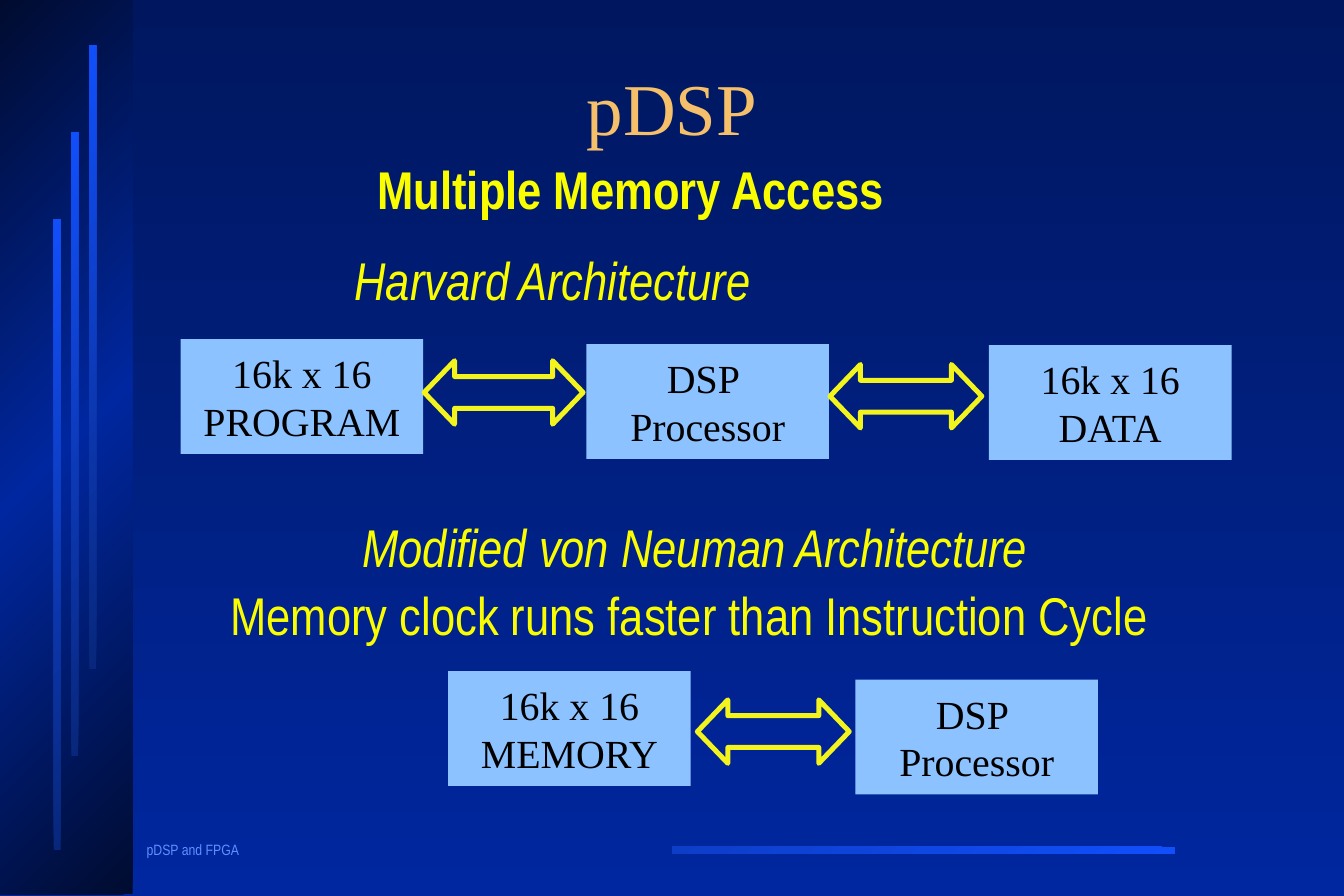
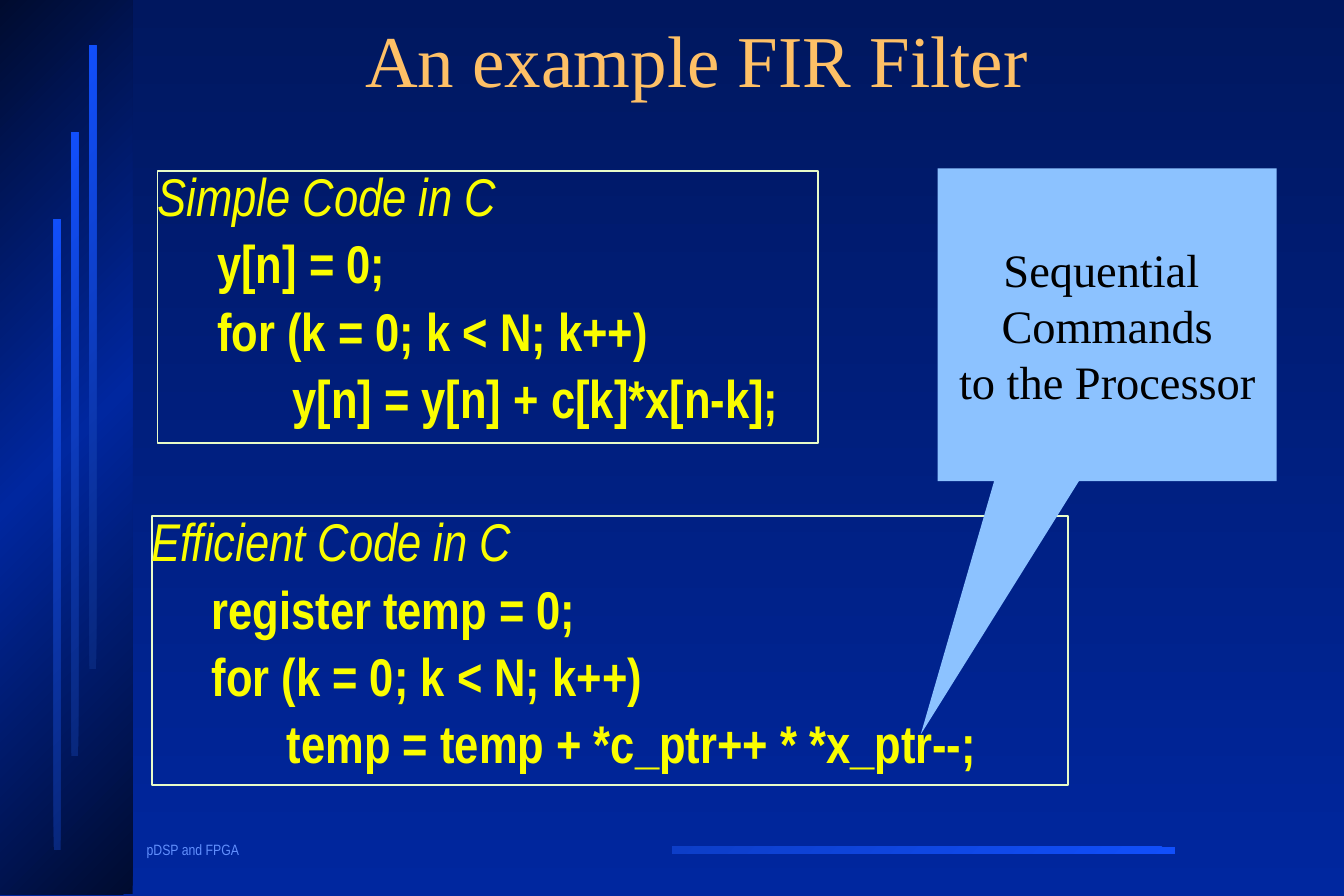
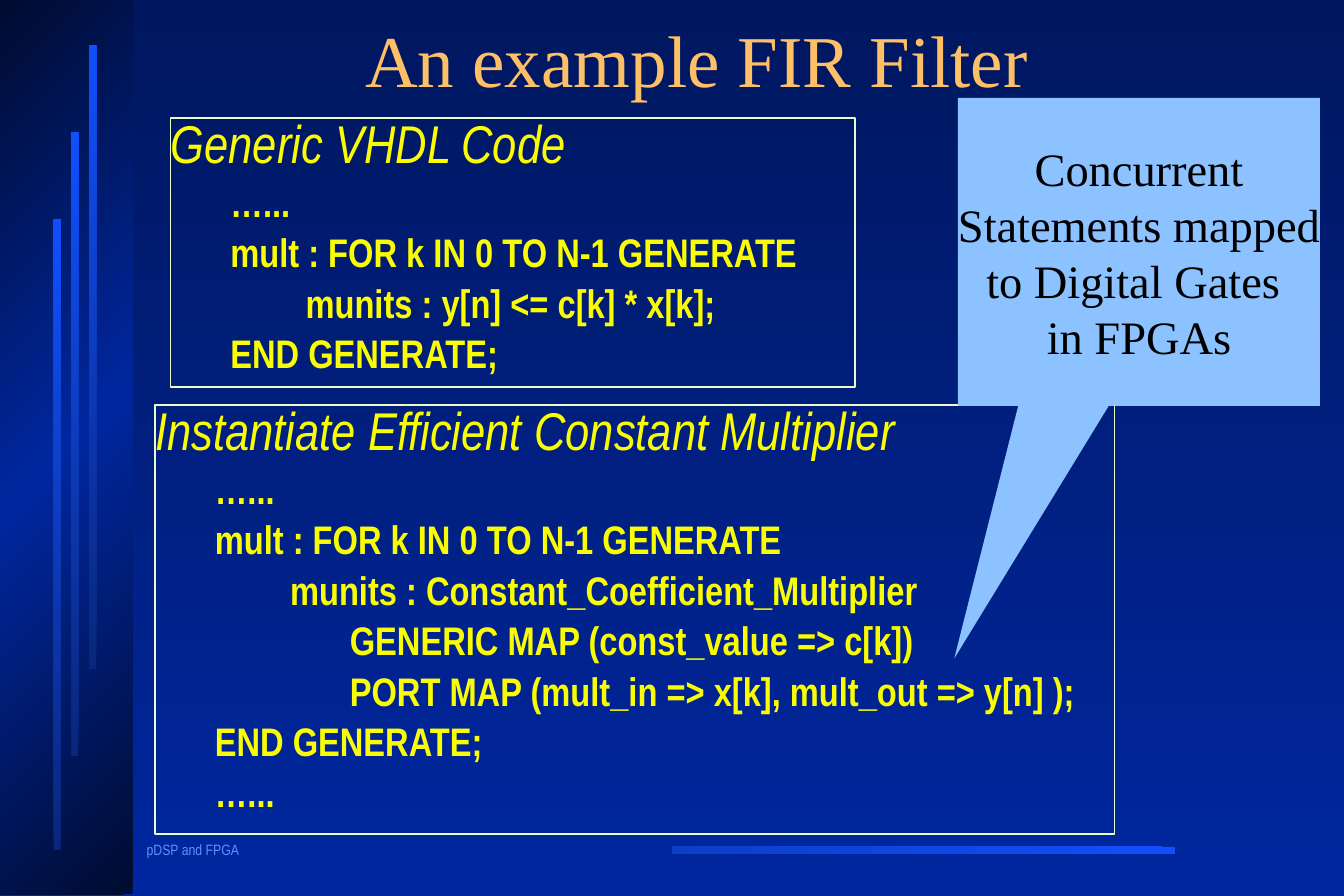
"""Build three slides on DSP memory access and FIR filter code."""
from lxml import etree
from pptx import Presentation
from pptx.dml.color import RGBColor
from pptx.enum.shapes import MSO_SHAPE
from pptx.enum.text import MSO_ANCHOR, MSO_AUTO_SIZE, PP_ALIGN
from pptx.oxml.ns import qn
from pptx.util import Cm, Pt

RECTANGLE = MSO_SHAPE.RECTANGLE
ARROW = MSO_SHAPE.LEFT_RIGHT_ARROW
CALLOUT = MSO_SHAPE.RECTANGULAR_CALLOUT
CENTER, LEFT = PP_ALIGN.CENTER, PP_ALIGN.LEFT
MIDDLE, TOP = MSO_ANCHOR.MIDDLE, MSO_ANCHOR.TOP
NO_AUTOFIT = MSO_AUTO_SIZE.NONE

TITLE_ONLY = 5
SANS, SERIF = "Arial Narrow", "Times New Roman"
COLORS = {
    "night": "00175F", "royal": "00279F", "abyss": "000B2F",
    "bar_dark": "08277C", "bar_light": "114FFB", "rule_dark": "0D3EC8",
    "footer": "618FFD", "gold": "F6BF69", "orange": "FEC066",
    "yellow": "FAFD00", "arrow": "F3F31D", "frame": "E9FCC8",
    "block": "8CC2FF", "black": "000000",
}
MARGIN = (0.25, 0.13)
LEVEL_INDENTS = (0, 1.27, 2.87, 4.14)
BLOCK_SIZE = (5.16, 2.44)
ARROW_HEIGHT = 1.35
FILTER_TITLE_BOX = (3.71, 0, 22.61, 2.77)


def rgb(name):
    """Return the named colour."""
    return RGBColor.from_string(COLORS[name])


def lengths(box):
    """Turn centimetre numbers into lengths."""
    return [Cm(value) for value in box]


def set_gradient(fill, element, names, angle):
    """Give the fill inside the element evenly spaced gradient stops."""
    fill.gradient()
    gradient = element.xpath(".//a:gradFill")[0]
    stops = gradient.find(qn("a:gsLst"))
    for stop in list(stops):
        stops.remove(stop)
    for index, name in enumerate(names):
        position = 100000 * index // (len(names) - 1)
        stop = etree.SubElement(stops, qn("a:gs"), pos=str(position))
        etree.SubElement(stop, qn("a:srgbClr"), val=COLORS[name])
    direction = gradient.find(qn("a:lin"))
    direction.set("ang", str(angle * 60000))
    direction.set("scaled", "0")


def add_shape(slide, kind, box, fill=None, line=None, adjustments=()):
    """Add a preset shape, plain unless a fill or line is named."""
    shape = slide.shapes.add_shape(kind, *lengths(box))
    shape.shadow.inherit = False
    for index, value in enumerate(adjustments):
        shape.adjustments[index] = value
    if fill:
        shape.fill.solid()
        shape.fill.fore_color.rgb = rgb(fill)
    else:
        shape.fill.background()
    if line:
        shape.line.color.rgb = rgb(line)
        shape.line.width = Pt(3)
    else:
        shape.line.fill.background()
    return shape


def set_frame(shape, margin=(0, 0), anchor=TOP, wrap=True):
    """Set the margins, anchor and wrapping of a text frame."""
    frame = shape.text_frame
    frame.auto_size = NO_AUTOFIT
    frame.word_wrap = wrap
    frame.vertical_anchor = anchor
    frame.margin_left = frame.margin_right = Cm(margin[0])
    frame.margin_top = frame.margin_bottom = Cm(margin[1])


def add_text_box(slide, box, margin=MARGIN):
    """Add an empty wrapping text box."""
    shape = slide.shapes.add_textbox(*lengths(box))
    set_frame(shape, margin)
    return shape


def write(shape, text, size=32, font=SANS, color="yellow", bold=False, italic=False,
          align=LEFT, spacing=0.9, before=0, indent=0):
    """Write one formatted paragraph at the end of the shape's text."""
    frame = shape.text_frame
    paragraph = frame.add_paragraph() if frame.text else frame.paragraphs[0]
    paragraph.alignment = align
    paragraph.line_spacing = spacing
    paragraph.space_before = Pt(before)
    properties = shape.element.xpath(".//a:p")[-1].get_or_add_pPr()
    properties.set("marL", str(Cm(indent)))
    properties.set("indent", "0")
    run = paragraph.add_run()
    run.text = text
    run.font.size = Pt(size)
    run.font.name = font
    run.font.bold = bold
    run.font.italic = italic
    run.font.color.rgb = rgb(color)


def write_centered(shape, texts, size):
    """Write black serif lines in the middle of a shape."""
    set_frame(shape, anchor=MIDDLE, wrap=False)
    for text in texts:
        write(shape, text, size=size, font=SERIF, color="black", align=CENTER, spacing=1)


def add_gradient_bar(slide, box, names):
    """Add a borderless rectangle with a diagonal gradient."""
    shape = add_shape(slide, RECTANGLE, box)
    set_gradient(shape.fill, shape.element, names, 225)
    return shape


def decorate_master(master, slide):
    """Draw the shared background, side band, rule and footer on the master."""
    set_gradient(master.background.fill, master.element, ("night", "royal"), 90)
    footer = add_text_box(slide, (2.87, 17.78, 3.81, 0.58))
    write(footer, "pDSP and FPGA", size=9, color="footer")
    parts = [
        footer,
        add_gradient_bar(slide, (14.3, 18, 10.69, 0.15), ("bar_light", "rule_dark")),
        add_gradient_bar(slide, (0, 0, 2.82, 19.02), ("abyss", "royal", "abyss")),
    ]
    for index, height in enumerate((13.41, 13.26, 13.26)):
        box = (1.14 + 0.38 * index, 4.67 - 1.85 * index, 0.15, height)
        parts.append(add_gradient_bar(slide, box, ("bar_dark", "bar_light")))
    for number, part in enumerate(parts, start=20):
        part.element.xpath("./p:nvSpPr/p:cNvPr")[0].set("id", str(number))
        master.shapes.element.append(part.element)


def add_titled_slide(presentation, title, box, color):
    """Add a title-only slide and format its title."""
    slide = presentation.slides.add_slide(presentation.slide_layouts[TITLE_ONLY])
    shape = slide.shapes.title
    shape.left, shape.top, shape.width, shape.height = lengths(box)
    set_frame(shape, MARGIN, MIDDLE)
    write(shape, title, size=44, font=SERIF, color=color, align=CENTER, spacing=0.85)
    return slide


def add_block_row(slide, origin, blocks, arrows):
    """Draw memory and processor blocks with arrows, offset from the origin."""
    left, top = origin
    for across, down, texts in blocks:
        block = add_shape(slide, RECTANGLE, (left + across, top + down, *BLOCK_SIZE), "block")
        write_centered(block, texts, 24)
    for across, down, width in arrows:
        box = (left + across, top + down, width, ARROW_HEIGHT)
        add_shape(slide, ARROW, box, line="arrow", adjustments=(0.5, 0.48))


def add_code_panel(slide, box, heading, code, size, before):
    """Add a framed panel with an italic heading and indented code."""
    panel = add_text_box(slide, box, margin=(0, 0))
    panel.line.color.rgb = rgb("frame")
    panel.line.width = Pt(1)
    write(panel, heading, italic=True)
    for level, text in code:
        write(panel, text, size=size, bold=True, before=before, indent=LEVEL_INDENTS[level])


def add_callout(slide, box, pointer, texts):
    """Add a callout whose tip lies at the relative pointer."""
    write_centered(add_shape(slide, CALLOUT, box, "block", adjustments=pointer), texts, 28)


def fill_memory_slide(slide):
    """Compare the Harvard and modified von Neuman architectures."""
    processor = ("DSP ", "Processor")
    harvard = add_text_box(slide, (3.07, 3.35, 22.76, 3.56))
    write(harvard, "Multiple Memory Access", bold=True, indent=4.71)
    write(harvard, "Harvard Architecture", italic=True, before=20, indent=4.22)
    add_block_row(
        slide, (3.84, 7.21),
        [(0, 0, ("16k x 16", "PROGRAM")), (8.63, 0.11, processor),
         (17.19, 0.13, ("16k x 16", "DATA"))],
        [(5.18, 0.46, 3.38), (13.81, 0.54, 3.23)])
    neuman = add_text_box(slide, (3.38, 10.97, 22.81, 2.95))
    write(neuman, "Modified von Neuman Architecture", italic=True, align=CENTER)
    write(neuman, "Memory clock runs faster than Instruction Cycle", before=6,
          indent=LEVEL_INDENTS[1])
    add_block_row(
        slide, (9.53, 14.27),
        [(0, 0, ("16k x 16", "MEMORY")), (8.66, 0.18, processor)],
        [(5.3, 0.61, 3.23)])


def fill_c_slide(slide):
    """Show the filter as sequential C code."""
    loop = (1, "for (k = 0; k < N; k++)")
    add_code_panel(
        slide, (3.35, 3.63, 14.05, 5.79), "Simple Code in C",
        [(1, "y[n] = 0;"), loop, (2, "y[n] = y[n] + c[k]*x[n-k];")], 32, 6)
    add_code_panel(
        slide, (3.23, 10.97, 19.48, 5.72), "Efficient Code in C",
        [(1, "register temp = 0;"), loop, (2, "temp = temp + *c_ptr++ * *x_ptr--;")], 32, 6)
    add_callout(slide, (19.94, 3.58, 7.21, 6.65), (-0.55, 1.31),
                ("Sequential ", "Commands", "to the Processor"))


def fill_vhdl_slide(slide):
    """Show the filter as concurrent VHDL code."""
    dots, end = (1, "…..."), (1, "END GENERATE;")
    opening = [dots, (1, "mult : FOR k IN 0 TO N-1 GENERATE")]
    add_code_panel(
        slide, (3.63, 2.51, 14.55, 5.72), "Generic VHDL Code",
        [*opening, (2, "munits : y[n] <= c[k] * x[k];"), end], 24, 4.5)
    add_code_panel(
        slide, (3.3, 8.61, 20.4, 9.12), "Instantiate Efficient Constant Multiplier",
        [*opening, (2, "munits : Constant_Coefficient_Multiplier"),
         (3, "GENERIC MAP (const_value => c[k])"),
         (3, "PORT MAP (mult_in => x[k], mult_out => y[n] );"), end, dots], 24, 4.5)
    add_callout(slide, (20.37, 2.08, 7.7, 6.55), (-0.51, 1.32),
                ("Concurrent", "Statements mapped", "to Digital Gates ", "in FPGAs"))


def main():
    """Build and save the presentation."""
    presentation = Presentation()
    presentation.slide_width, presentation.slide_height = Cm(28.58), Cm(19.05)
    memory_slide = add_titled_slide(presentation, "pDSP", (2.95, 0.81, 22.68, 3.18), "gold")
    decorate_master(presentation.slide_master, memory_slide)
    fill_memory_slide(memory_slide)
    for fill_slide in (fill_c_slide, fill_vhdl_slide):
        fill_slide(add_titled_slide(
            presentation, "An example FIR Filter ", FILTER_TITLE_BOX, "orange"))
    presentation.save("out.pptx")


if __name__ == "__main__":
    main()
